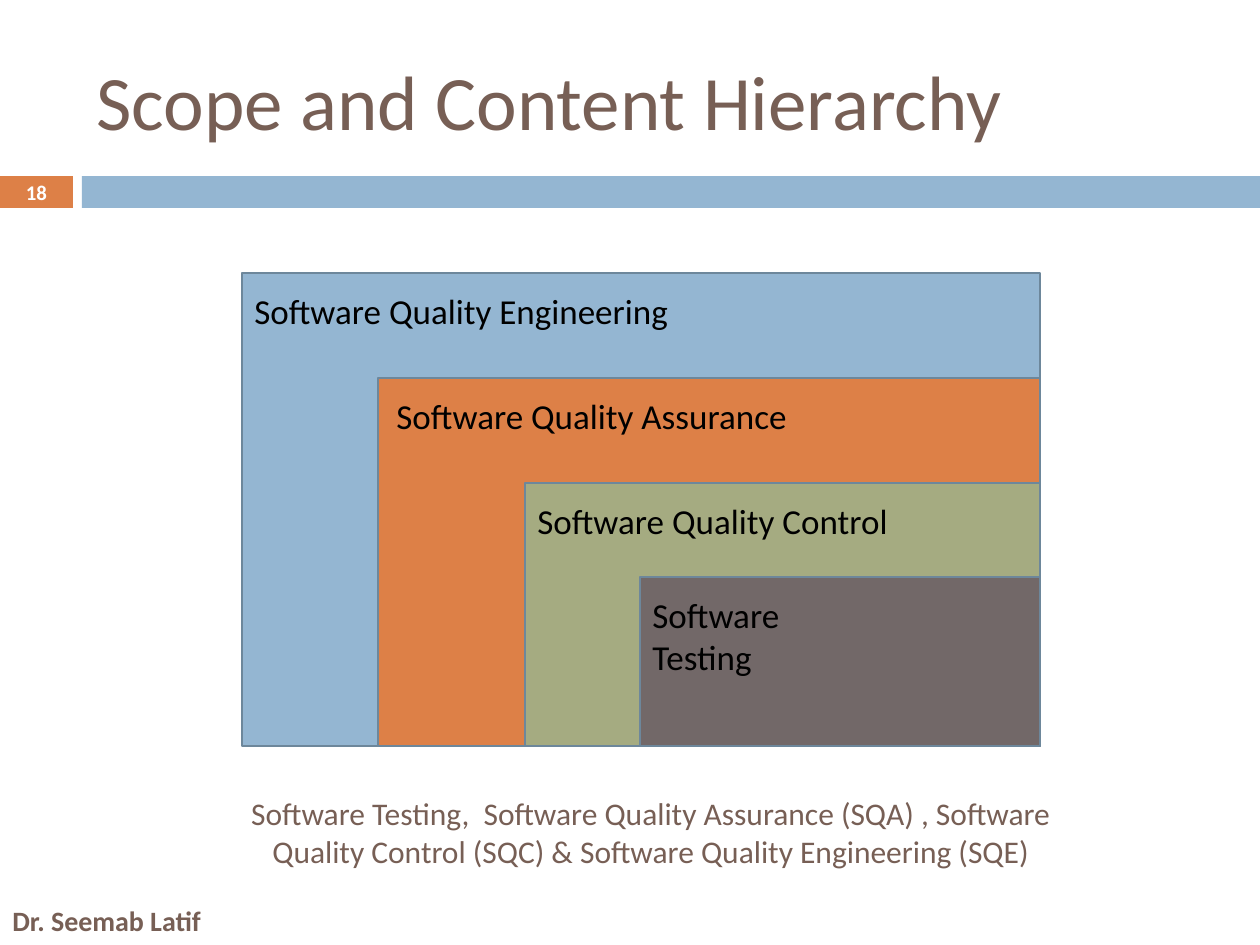
from dataclasses import dataclass

from pptx import Presentation
from pptx.dml.color import RGBColor
from pptx.enum.shapes import MSO_SHAPE as Shape
from pptx.enum.text import MSO_ANCHOR as Anchor, PP_ALIGN as Align
from pptx.util import Emu, Pt

PX = 914400 / 126
FONT = "Calibri"
BLUE, ORANGE, GREEN, GREY = "94B6D2", "DD8047", "A5AB81", "726868"
BROWN, BLACK, WHITE, OUTLINE = "775F55", "000000", "FFFFFF", "6D879B"
RIGHT, BOTTOM = 1040, 746  # edges shared by all nested boxes
LABEL_DROP = 10


@dataclass
class Box:
    left: int
    top: int
    width: int
    height: int


@dataclass
class Level:
    text: str
    left: int
    top: int
    fill: str
    label_left: int
    label_width: int
    wrap: bool = False


LEVELS = [
    Level("Software Quality Engineering", 242, 273, BLUE, 242, 441),
    Level("Software Quality Assurance", 378, 378, ORANGE, 384, 425),
    Level("Software Quality Control", 525, 483, GREEN, 525, 378),
    Level("Software Testing", 640, 577, GREY, 640, 250, wrap=True),
]


def px(n: int) -> Emu:
    return Emu(round(n * PX))


def rgb(value: str) -> RGBColor:
    return RGBColor.from_string(value)


def place(box: Box) -> tuple[Emu, ...]:
    return px(box.left), px(box.top), px(box.width), px(box.height)


def add_rect(shapes, box: Box, fill: str, line: str | None = None) -> None:
    s = shapes.add_shape(Shape.RECTANGLE, *place(box))
    s.shadow.inherit = False
    s.fill.solid()
    s.fill.fore_color.rgb = rgb(fill)
    if line:
        s.line.color.rgb = rgb(line)
        s.line.width = Pt(1.5)
    else:
        s.line.fill.background()


def add_text(shapes, box: Box, text: str, size: float, color: str,
             bold: bool = False, align: Align = Align.LEFT,
             anchor: Anchor = Anchor.TOP, wrap: bool = True) -> None:
    tf = shapes.add_textbox(*place(box)).text_frame
    tf.word_wrap = wrap
    tf.vertical_anchor = anchor
    p = tf.paragraphs[0]
    p.alignment = align
    r = p.add_run()
    r.text = text
    r.font.name, r.font.size, r.font.bold = FONT, Pt(size), bold
    r.font.color.rgb = rgb(color)


def main() -> None:
    prs = Presentation()
    prs.slide_width, prs.slide_height = px(1260), px(945)
    shapes = prs.slides.add_slide(prs.slide_layouts[6]).shapes

    # Header band, title and slide number
    add_rect(shapes, Box(0, 176, 73, 32), ORANGE)
    add_rect(shapes, Box(82, 176, 1178, 32), BLUE)
    add_text(shapes, Box(84, 32, 1124, 136), "Scope and Content Hierarchy",
             44, BROWN, anchor=Anchor.MIDDLE)
    add_text(shapes, Box(0, 175, 73, 34), "18", 11.9, WHITE, bold=True,
             align=Align.CENTER, anchor=Anchor.MIDDLE)

    # Caption and author
    add_text(shapes, Box(210, 788, 882, 90),
             "Software Testing,  Software Quality Assurance (SQA) , Software "
             "Quality Control (SQC) & Software Quality Engineering (SQE)",
             18, BROWN, align=Align.CENTER)
    add_text(shapes, Box(0, 895, 231, 50), "Dr. Seemab Latif", 16, BROWN,
             bold=True, anchor=Anchor.MIDDLE)

    # Nested hierarchy, outermost level first
    group = shapes.add_group_shape().shapes
    for lv in LEVELS:
        add_rect(group, Box(lv.left, lv.top, RIGHT - lv.left, BOTTOM - lv.top),
                 lv.fill, OUTLINE)
        add_text(group, Box(lv.label_left, lv.top + LABEL_DROP, lv.label_width, 55),
                 lv.text, 20, BLACK, wrap=lv.wrap)

    prs.save("out.pptx")


if __name__ == "__main__":
    main()
